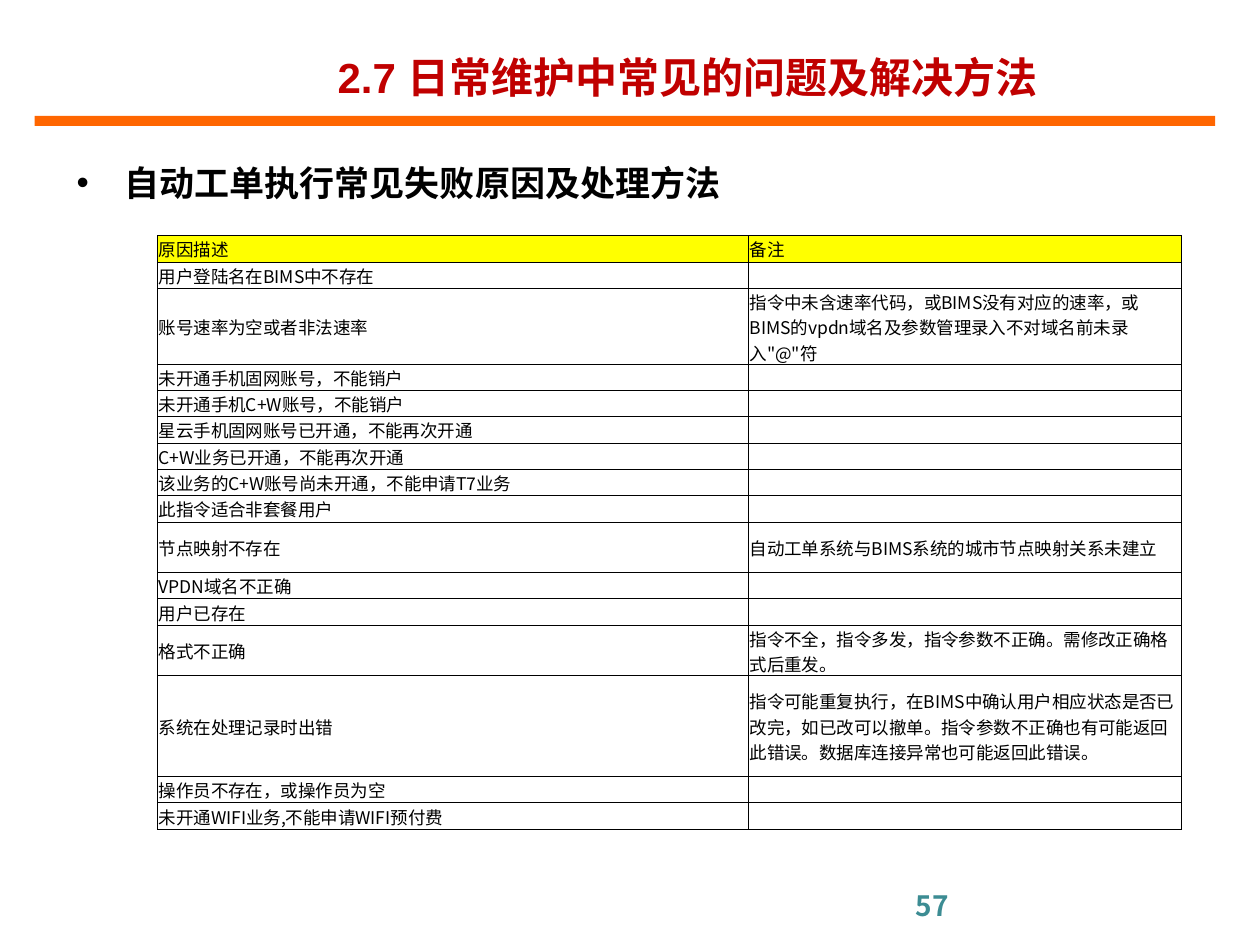
from lxml.etree import SubElement
from pptx import Presentation
from pptx.dml.color import RGBColor
from pptx.enum.shapes import MSO_SHAPE
from pptx.enum.text import MSO_ANCHOR, PP_ALIGN
from pptx.oxml.ns import qn
from pptx.util import Inches, Pt

ORANGE = RGBColor(0xFF, 0x66, 0x00)
RED = RGBColor(0xC0, 0x00, 0x00)
TEAL = RGBColor(0x3C, 0x8C, 0x93)
YELLOW = RGBColor(0xFF, 0xFF, 0x00)
BLACK = RGBColor(0, 0, 0)

COLUMN_WIDTHS = (46.9, 34.35)
SINGLE_ROW = 2.79
TEXT_LINE = 2.67
ROWS = (
    ("原因描述", "备注", 1),
    ("用户登陆名在BIMS中不存在", "", 1),
    ("账号速率为空或者非法速率",
     "指令中未含速率代码，或BIMS没有对应的速率，或BIMS的vpdn域名及参数管理录入不对域名前未录入\"@\"符", 3),
    ("未开通手机固网账号，不能销户", "", 1),
    ("未开通手机C+W账号，不能销户", "", 1),
    ("星云手机固网账号已开通，不能再次开通", "", 1),
    ("C+W业务已开通，不能再次开通", "", 1),
    ("该业务的C+W账号尚未开通，不能申请T7业务", "", 1),
    ("此指令适合非套餐用户", "", 1),
    ("节点映射不存在", "自动工单系统与BIMS系统的城市节点映射关系未建立", 2),
    ("VPDN域名不正确", "", 1),
    ("用户已存在", "", 1),
    ("格式不正确", "指令不全，指令多发，指令参数不正确。需修改正确格式后重发。", 2),
    ("系统在处理记录时出错",
     "指令可能重复执行，在BIMS中确认用户相应状态是否已改完，如已改可以撤单。"
     "指令参数不正确也有可能返回此错误。数据库连接异常也可能返回此错误。", 4),
    ("操作员不存在，或操作员为空", "", 1),
    ("未开通WIFI业务,不能申请WIFI预付费", "", 1),
)


class SlideBuilder:
    """Adds styled elements to one slide, with lengths in percent of its size."""

    heading_font = "Arial"
    body_font = "Noto Sans CJK SC"

    def __init__(self, presentation):
        self.width = presentation.slide_width
        self.height = presentation.slide_height
        self.slide = presentation.slides.add_slide(presentation.slide_layouts[5])

    def across(self, share):
        return round(self.width * share / 100)

    def down(self, share):
        return round(self.height * share / 100)

    def box(self, left, top, width, height):
        return self.across(left), self.down(top), self.across(width), self.down(height)

    def set_text(self, text_frame, text, size, color, font, bold=False):
        text_frame.text = text
        paragraph = text_frame.paragraphs[0]
        paragraph.alignment = PP_ALIGN.LEFT
        for run in paragraph.runs:
            run.font.size = Pt(size)
            run.font.bold = bold
            run.font.name = font
            run.font.color.rgb = color
            east_asian = SubElement(run._r.get_or_add_rPr(), qn("a:ea"))
            east_asian.set("typeface", self.body_font)
        if not text:
            SubElement(paragraph._p, qn("a:endParaRPr"), sz=str(size * 100))
        return paragraph

    def title(self, text, *place):
        shape = self.slide.shapes.title
        shape.left, shape.top, shape.width, shape.height = self.box(*place)
        shape.text_frame.vertical_anchor = MSO_ANCHOR.MIDDLE
        self.set_text(shape.text_frame, text, 24, RED, self.heading_font, True)

    def bar(self, color, *place):
        shape = self.slide.shapes.add_shape(MSO_SHAPE.RECTANGLE, *self.box(*place))
        shape.shadow.inherit = False
        shape.fill.solid()
        shape.fill.fore_color.rgb = color
        shape.line.fill.background()

    def text(self, text, size, color, font, *place):
        text_frame = self.slide.shapes.add_textbox(*self.box(*place)).text_frame
        text_frame.word_wrap = True
        return self.set_text(text_frame, text, size, color, font, True)

    def bullet(self, text, *place):
        paragraph = self.text(text, 20, BLACK, self.heading_font, *place)
        properties = paragraph._p.get_or_add_pPr()
        indent = Inches(0.38)
        properties.set("marL", str(indent))
        properties.set("indent", str(-indent))
        SubElement(properties, qn("a:buFont"), typeface=self.heading_font)
        SubElement(properties, qn("a:buChar"), char="•")

    def cell(self, cell, text, fill):
        cell.margin_left = cell.margin_right = cell.margin_top = Inches(0.01)
        cell.margin_bottom = 0
        cell.vertical_anchor = MSO_ANCHOR.MIDDLE
        self.set_text(cell.text_frame, text, 10, BLACK, self.body_font)
        properties = cell._tc.get_or_add_tcPr()
        for side in ("lnL", "lnR", "lnT", "lnB"):
            line = SubElement(properties, qn(f"a:{side}"), w=str(Pt(0.5)))
            solid = SubElement(line, qn("a:solidFill"))
            SubElement(solid, qn("a:srgbClr"), val=str(BLACK))
        if fill is None:
            cell.fill.background()
        else:
            cell.fill.solid()
            cell.fill.fore_color.rgb = fill

    def table(self, rows, column_widths, left, top):
        heights = [SINGLE_ROW if lines == 1 else TEXT_LINE * lines for *_, lines in rows]
        place = self.box(left, top, sum(column_widths), sum(heights))
        table = self.slide.shapes.add_table(len(rows), len(column_widths), *place).table
        table.first_row = table.horz_banding = False
        for column, width in zip(table.columns, column_widths):
            column.width = self.across(width)
        for index, (*texts, _) in enumerate(rows):
            row = table.rows[index]
            row.height = self.down(heights[index])
            for cell, text in zip(row.cells, texts):
                self.cell(cell, text, YELLOW if index == 0 else None)


def main():
    presentation = Presentation()
    presentation.slide_width = Inches(10)
    presentation.slide_height = Inches(7.5)
    builder = SlideBuilder(presentation)
    builder.bar(ORANGE, 2.75, 12.27, 93.7, 1.07)
    builder.text("57", 16, TEAL, builder.body_font, 71.7, 93.33, 23.3, 6.93)
    builder.title("2.7 日常维护中常见的问题及解决方法", 25.8, 3.07, 63.6, 10.13)
    builder.bullet("自动工单执行常见失败原因及处理方法", 5.1, 16.4, 90, 7)
    builder.table(ROWS, COLUMN_WIDTHS, 12.5, 24.93)
    presentation.save("out.pptx")


if __name__ == "__main__":
    main()
